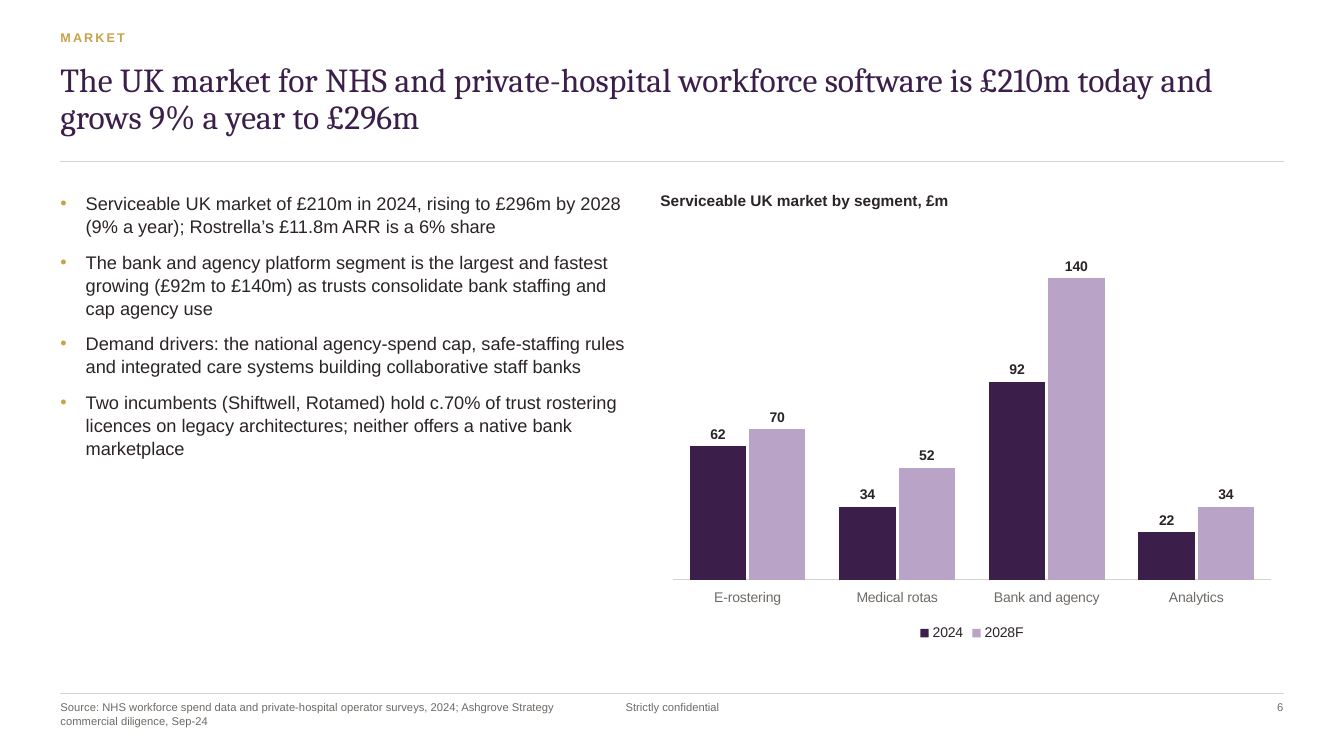
from pptx import Presentation
from pptx.chart.data import CategoryChartData
from pptx.dml.color import RGBColor
from pptx.enum.chart import (XL_CHART_TYPE as ChartType, XL_LABEL_POSITION as LabelPos,
                             XL_LEGEND_POSITION as LegendPos, XL_TICK_LABEL_POSITION as TickPos,
                             XL_TICK_MARK as Tick)
from pptx.enum.shapes import MSO_CONNECTOR as Connector
from pptx.enum.text import MSO_ANCHOR as Anchor, MSO_AUTO_SIZE as AutoSize, PP_ALIGN as Align
from pptx.oxml.ns import qn
from pptx.util import Inches, Pt
from lxml import etree

PLUM = RGBColor(0x3B, 0x1F, 0x4A)
LILAC = RGBColor(0xB9, 0xA3, 0xC6)
GOLD = RGBColor(0xC8, 0xA2, 0x4A)
INK = RGBColor(0x2A, 0x23, 0x28)
GREY = RGBColor(0x6E, 0x6A, 0x66)
RULE = RGBColor(0xD8, 0xD2, 0xCA)

LEFT, RIGHT = 0.6, 12.73
CHART_LEFT, CHART_WIDTH = 6.55, 6.18
FOOTER_TOP = 6.95

TITLE = ("The UK market for NHS and private-hospital workforce software is £210m today "
         "and grows 9% a year to £296m")
BULLETS = [
    "Serviceable UK market of £210m in 2024, rising to £296m by 2028 (9% a year); "
    "Rostrella’s £11.8m ARR is a 6% share",
    "The bank and agency platform segment is the largest and fastest growing "
    "(£92m to £140m) as trusts consolidate bank staffing and cap agency use",
    "Demand drivers: the national agency-spend cap, safe-staffing rules and integrated "
    "care systems building collaborative staff banks",
    "Two incumbents (Shiftwell, Rotamed) hold c.70% of trust rostering licences on legacy "
    "architectures; neither offers a native bank marketplace",
]
SOURCE = ("Source: NHS workforce spend data and private-hospital operator surveys, 2024; "
          "Ashgrove Strategy commercial diligence, Sep-24")
SEGMENTS = ["E-rostering", "Medical rotas", "Bank and agency", "Analytics"]
SERIES = [("2024", [62, 34, 92, 22], PLUM), ("2028F", [70, 52, 140, 34], LILAC)]


def set_font(font, size, color, bold=False, name="Arial"):
    for key, value in dict(size=Pt(size), bold=bold, name=name).items():
        setattr(font, key, value)
    font.color.rgb = color


def set_bullet(p):
    """Give a paragraph its hanging indent and gold bullet, or none when p is plain."""
    pPr = p._p.get_or_add_pPr()
    indent = Inches(0.25)
    pPr.set("marL", str(indent))
    pPr.set("indent", str(-indent))
    color = etree.SubElement(pPr, qn("a:buClr"))
    etree.SubElement(color, qn("a:srgbClr"), val=str(GOLD))
    etree.SubElement(pPr, qn("a:buFont"), typeface="Arial")
    etree.SubElement(pPr, qn("a:buChar"), char="•")


def clear_bullet(p):
    pPr = p._p.get_or_add_pPr()
    pPr.set("marL", "0")
    pPr.set("indent", "0")
    etree.SubElement(pPr, qn("a:buNone"))


def fill_text(sp, box, lines, size, color, bold=False, name="Arial",
              align=Align.LEFT, spacing=1.0, bulleted=False):
    """Place a text box or placeholder and write one paragraph per line."""
    sp.left, sp.top, sp.width, sp.height = (Inches(v) for v in box)
    tf = sp.text_frame
    frame = dict(margin_left=0, margin_top=0, margin_right=0, margin_bottom=0,
                 word_wrap=True, auto_size=AutoSize.NONE, vertical_anchor=Anchor.TOP)
    for key, value in frame.items():
        setattr(tf, key, value)
    for i, line in enumerate(lines):
        p = tf.paragraphs[0] if i == 0 else tf.add_paragraph()
        p.alignment = align
        p.line_spacing = spacing
        p.space_before = Pt(9 if i else 0)
        (set_bullet if bulleted else clear_bullet)(p)
        r = p.add_run()
        r.text = line
        set_font(r.font, size, color, bold, name)


def add_text(s, box, text, size, color, **style):
    sp = s.shapes.add_textbox(0, 0, 0, 0)
    fill_text(sp, box, [text], size, color, **style)
    return sp


def add_rule(s, y, width):
    line = s.shapes.add_connector(Connector.STRAIGHT, Inches(LEFT), Inches(y),
                                  Inches(RIGHT), Inches(y))
    line.line.color.rgb = RULE
    line.line.width = Pt(width)
    etree.SubElement(line._element.spPr, qn("a:effectLst"))


def add_market_chart(s):
    data = CategoryChartData(number_format="0")
    data.categories = SEGMENTS
    for name, values, _ in SERIES:
        data.add_series(name, values)
    chart = s.shapes.add_chart(ChartType.COLUMN_CLUSTERED, Inches(CHART_LEFT), Inches(2.25),
                               Inches(CHART_WIDTH), Inches(4.15), data).chart
    set_font(chart.font, 10, INK)
    chart.has_title = False
    chart.has_legend = True
    chart.legend.position = LegendPos.BOTTOM
    chart.legend.include_in_layout = False
    set_font(chart.legend.font, 10, INK)

    axis = chart.category_axis
    axis.major_tick_mark = axis.minor_tick_mark = Tick.NONE
    axis.tick_label_position = TickPos.LOW
    axis.format.line.color.rgb = RULE
    axis.format.line.width = Pt(0.75)
    set_font(axis.tick_labels.font, 10, GREY)
    chart.value_axis.visible = False
    chart.value_axis.has_major_gridlines = False
    chart.value_axis.minimum_scale = 0

    plot = chart.plots[0]
    plot.gap_width, plot.overlap, plot.vary_by_categories = 60, -5, False
    for series, (_, _, color) in zip(plot.series, SERIES):
        series.format.fill.solid()
        series.format.fill.fore_color.rgb = color
        labels = series.data_labels
        settings = dict(show_value=True, position=LabelPos.OUTSIDE_END,
                        number_format="0", number_format_is_linked=False)
        for key, value in settings.items():
            setattr(labels, key, value)
        set_font(labels.font, 10, INK, bold=True)


def main():
    prs = Presentation()
    prs.slide_width, prs.slide_height = Inches(13.33), Inches(7.5)
    s = prs.slides.add_slide(prs.slide_layouts.get_by_name("Comparison"))
    holders = {sp.placeholder_format.idx: sp for sp in s.placeholders}
    title, heading, body, source, spare = (holders[i] for i in range(5))
    spare._element.getparent().remove(spare._element)

    add_rule(s, 6.88, 0.5)
    add_rule(s, 1.6, 0.75)
    tag = add_text(s, (LEFT, 0.3, 7, 0.25), "MARKET", 9, GOLD, bold=True)
    tag.text_frame.paragraphs[0].runs[0].font._element.set("spc", "150")
    fill_text(title, (LEFT, 0.62, RIGHT - LEFT, 0.9), [TITLE], 24, PLUM,
              name="Cambria", spacing=0.92)
    fill_text(body, (LEFT, 1.9, 5.6, 4.5), BULLETS, 13, INK, spacing=1.05, bulleted=True)
    fill_text(heading, (CHART_LEFT, 1.9, CHART_WIDTH, 0.3),
              ["Serviceable UK market by segment, £m"], 11, INK, bold=True)
    add_market_chart(s)
    fill_text(source, (LEFT, FOOTER_TOP, 5, 0.4), [SOURCE], 8, GREY)
    add_text(s, (5.67, FOOTER_TOP, 2, 0.25), "Strictly confidential", 8, GREY,
             align=Align.CENTER)
    add_text(s, (RIGHT - 1, FOOTER_TOP, 1, 0.25), "6", 8, GREY, align=Align.RIGHT)
    prs.save("out.pptx")


if __name__ == "__main__":
    main()
